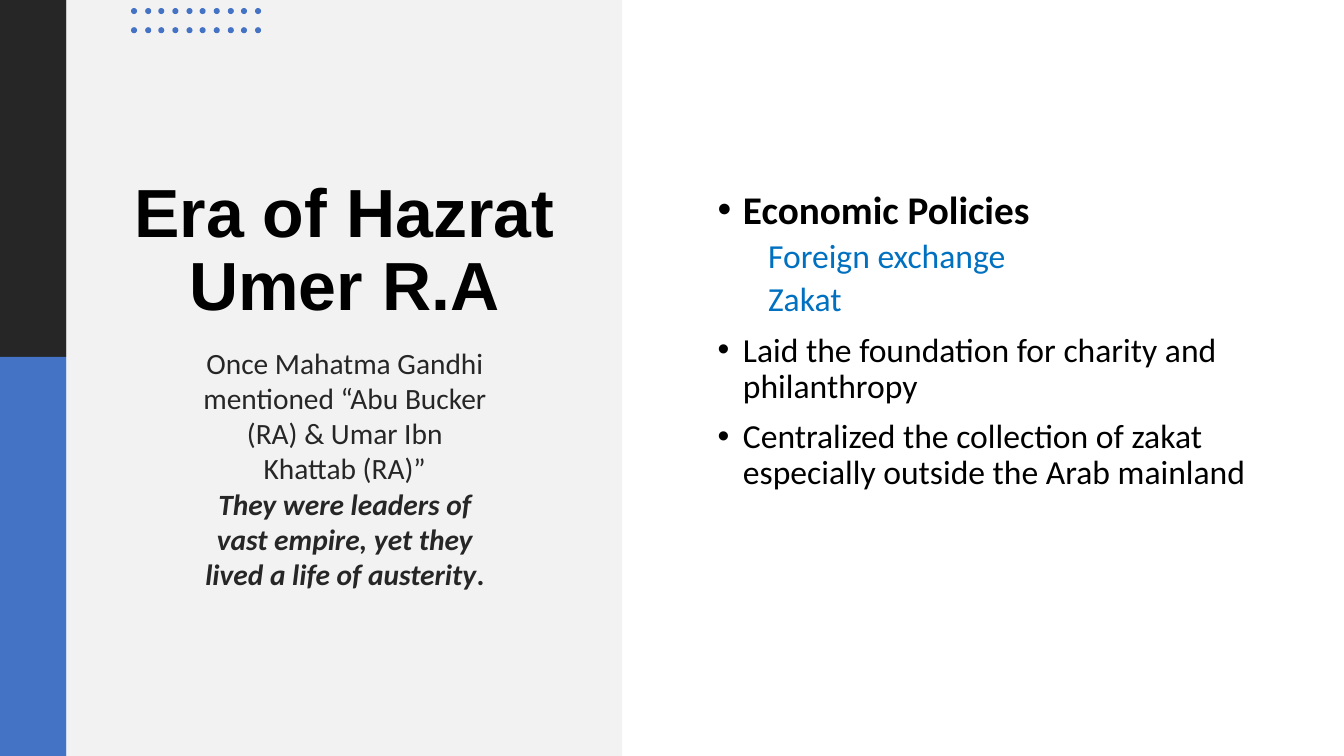
from dataclasses import dataclass

from lxml import etree
from pptx import Presentation
from pptx.dml.color import RGBColor
from pptx.enum.shapes import MSO_SHAPE
from pptx.enum.text import MSO_ANCHOR, MSO_AUTO_SIZE, PP_ALIGN
from pptx.oxml.ns import qn
from pptx.util import Pt

RECT, OVAL = MSO_SHAPE.RECTANGLE, MSO_SHAPE.OVAL
MIDDLE = MSO_ANCHOR.MIDDLE
FIXED, GROW = MSO_AUTO_SIZE.NONE, MSO_AUTO_SIZE.SHAPE_TO_FIT_TEXT
LEFT, CENTER = PP_ALIGN.LEFT, PP_ALIGN.CENTER

PX = 9144  # 100 px to the inch
BLACK, DARK, GREY = "000000", "262626", "F2F2F2"
BLUE, LINK = "4472C4", "0070C0"
INDENT = 25


@dataclass
class Box:
    x: int
    y: int
    w: int
    h: int

    def emu(self) -> list[int]:
        return [v * PX for v in (self.x, self.y, self.w, self.h)]


@dataclass
class Panel:
    box: Box
    fill: str


@dataclass
class Run:
    text: str
    size: float
    color: str
    bold: bool = False
    italic: bool = False
    font: str = "Calibri"


@dataclass
class Para:
    runs: list[Run]
    align: PP_ALIGN = LEFT
    lines: float = 1.0
    before: int = 0
    level: int = 0
    bullet: bool = False


PANELS = [
    Panel(Box(0, 0, 66, 354), DARK),
    Panel(Box(0, 354, 66, 396), BLUE),
    Panel(Box(66, 0, 551, 750), GREY),
]
TITLE = [Para([Run("Era of Hazrat Umer R.A", 48.6, BLACK, True, font="Arial")], CENTER, 0.9)]


def point(text: str, size: int = 24, bold: bool = False, before: int = 10) -> Para:
    return Para([Run(text, size, BLACK, bold)], lines=0.9, before=before, bullet=True)


def sub(text: str) -> Para:
    return Para([Run(text, 24, LINK)], lines=0.9, before=5, level=1)


POINTS = [
    point("Economic Policies", 28, True, 0),
    sub("Foreign exchange"),
    sub("Zakat"),
    point("Laid the foundation for charity and philanthropy"),
    point("Centralized the collection of zakat especially outside the Arab mainland"),
]
QUOTE = [
    Para([Run("Once Mahatma Gandhi mentioned “Abu Bucker (RA) & Umar Ibn Khattab (RA)”", 21, DARK)],
         CENTER),
    Para([Run("They were leaders of vast empire, yet they lived a life of austerity",
              21, DARK, True, True),
          Run(".", 21, DARK, True)], CENTER),
]


def rgb(code: str) -> RGBColor:
    return RGBColor.from_string(code)


def draw(shapes, kind: MSO_SHAPE, box: Box, fill: str) -> None:
    shape = shapes.add_shape(kind, *box.emu())
    shape.shadow.inherit = False
    shape.fill.solid()
    shape.fill.fore_color.rgb = rgb(fill)
    shape.line.fill.background()


def set_list(line, para: Para) -> None:
    """Set the indent and bullet of a list paragraph."""
    props = line._p.get_or_add_pPr()
    props.set("marL", str((para.level + 1) * INDENT * PX))
    props.set("indent", str(-INDENT * PX if para.bullet else 0))
    if para.bullet:
        etree.SubElement(props, qn("a:buFont")).set("typeface", "Arial")
        etree.SubElement(props, qn("a:buChar")).set("char", "•")
    else:
        etree.SubElement(props, qn("a:buNone"))


def write(frame, paras: list[Para]) -> None:
    for i, para in enumerate(paras):
        line = frame.paragraphs[0] if i == 0 else frame.add_paragraph()
        if para.bullet or para.level:
            set_list(line, para)
        line.level = para.level
        line.alignment = para.align
        line.line_spacing = para.lines
        line.space_before = Pt(para.before)
        for part in para.runs:
            run = line.add_run()
            run.text = part.text
            font = run.font
            font.name, font.size = part.font, Pt(part.size)
            font.bold, font.italic = part.bold, part.italic
            font.color.rgb = rgb(part.color)


def add_text(shapes, box: Box, paras: list[Para], fit: MSO_AUTO_SIZE):
    frame = shapes.add_textbox(*box.emu()).text_frame
    frame.word_wrap = True
    frame.auto_size = fit
    write(frame, paras)
    return frame


def add_title(slide) -> None:
    title = slide.shapes.title
    title.left, title.top, title.width, title.height = Box(119, 146, 445, 208).emu()
    frame = title.text_frame
    frame.word_wrap = True
    frame.auto_size = FIXED
    frame.vertical_anchor = MIDDLE
    write(frame, TITLE)
    slide.shapes.element.append(title.element)  # bring in front of the panels


def add_dots(shapes) -> None:
    dots = shapes.add_group_shape().shapes
    for col in range(10):
        for row in range(2):
            draw(dots, OVAL, Box(130 + round(col * 123 / 9), 8 + row * 19, 6, 6), BLUE)


def main() -> None:
    deck = Presentation()
    deck.slide_width, deck.slide_height = 1333 * PX, 750 * PX
    slide = deck.slides.add_slide(deck.slide_layouts[5])
    shapes = slide.shapes
    for panel in PANELS:
        draw(shapes, RECT, panel.box, panel.fill)
    add_title(slide)
    add_dots(shapes)
    body = add_text(shapes, Box(702, 55, 558, 610), POINTS, FIXED)
    body.vertical_anchor = MIDDLE
    body.margin_top, body.margin_bottom = 19 * PX, 62 * PX
    add_text(shapes, Box(188, 337, 308, 257), QUOTE, GROW)
    deck.save("out.pptx")


if __name__ == "__main__":
    main()
